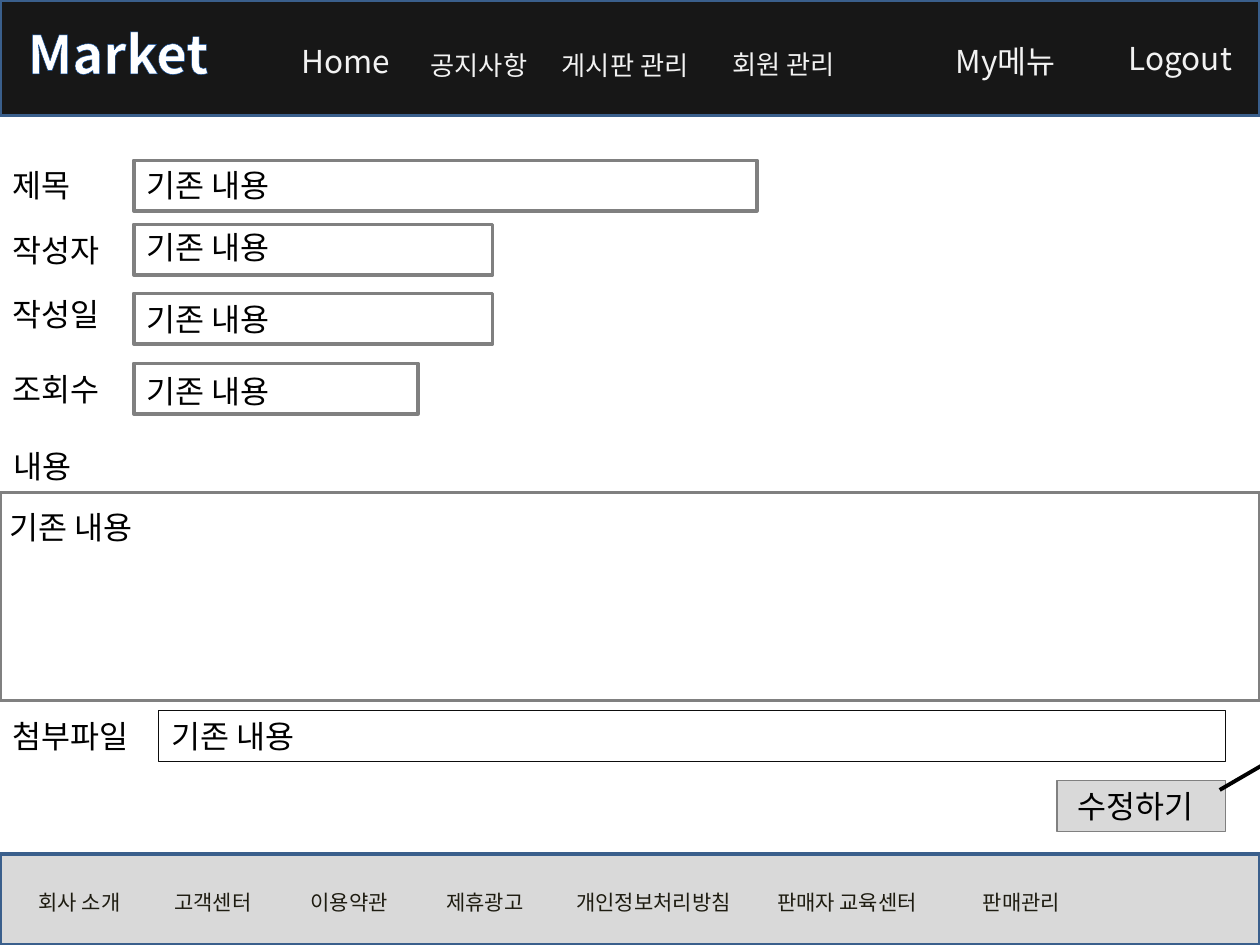
"""Build the edit-post screen of a market admin site as one slide."""
import dataclasses

import pptx
import pptx.dml.color
import pptx.enum.shapes
import pptx.enum.text
import pptx.oxml
import pptx.oxml.ns
import pptx.util

Pt = pptx.util.Pt


@dataclasses.dataclass(frozen=True)
class Theme:
    font: str = "Noto Sans CJK KR"
    white: str = "FFFFFF"
    black: str = "000000"
    header: str = "171717"
    panel: str = "D9D9D9"
    frame: str = "3A5F8C"
    field: str = "808080"
    attachment: str = "0D0D0D"
    menu: str = "F2F2F2"
    footer: str = "1E1C11"
    logo_outline: str = "054697"
    logo_size: float = 30
    body_size: float = 18
    menu_size: float = 15
    footer_size: float = 12


THEME = Theme()
EXISTING = "기존 내용"
LINE_HEIGHT = 29


def rgb(value):
    return pptx.dml.color.RGBColor.from_string(value)


def add_xml(parent, markup, index=None):
    namespace = pptx.oxml.ns.nsdecls("a")
    wrapper = pptx.oxml.parse_xml(f"<a:wrapper {namespace}>{markup}</a:wrapper>")
    parent.insert(len(parent) if index is None else index, wrapper[0])


def write(box, text, size=THEME.body_size, color=THEME.black, bold=False, indent=7.2):
    frame = box.text_frame
    frame.word_wrap = True
    frame.auto_size = pptx.enum.text.MSO_AUTO_SIZE.NONE
    frame.vertical_anchor = pptx.enum.text.MSO_ANCHOR.TOP
    frame.margin_left = Pt(indent)
    para = frame.paragraphs[0]
    para.alignment = pptx.enum.text.PP_ALIGN.LEFT
    span = para.add_run()
    span.text = text
    span.font.name = THEME.font
    span.font.size = Pt(size)
    span.font.bold = bold
    span.font.color.rgb = rgb(color)
    add_xml(span.font._element, f'<a:ea typeface="{THEME.font}"/>')
    return span


def add_text(page, text, left, top, width, height=LINE_HEIGHT, **style):
    box = page.shapes.add_textbox(Pt(left), Pt(top), Pt(width), Pt(height))
    write(box, text, **style)


def add_box(page, left, top, width, height, fill, line, weight):
    box = page.shapes.add_shape(pptx.enum.shapes.MSO_SHAPE.RECTANGLE,
                                Pt(left), Pt(top), Pt(width), Pt(height))
    box.shadow.inherit = False
    if fill:
        box.fill.solid()
        box.fill.fore_color.rgb = rgb(fill)
    else:
        box.fill.background()
    box.line.color.rgb = rgb(line)
    box.line.width = Pt(weight)
    return box


def add_arrow(page, start, end):
    arrow = page.shapes.add_connector(pptx.enum.shapes.MSO_CONNECTOR.STRAIGHT,
                                      *(Pt(value) for value in start + end))
    arrow.line.color.rgb = rgb(THEME.black)
    arrow.line.width = Pt(2.25)
    add_xml(arrow.line._get_or_add_ln(), '<a:tailEnd type="arrow"/>')
    add_xml(arrow.element.spPr, "<a:effectLst/>")


def add_logo(page):
    logo = page.shapes.title
    logo.left, logo.top, logo.width, logo.height = Pt(8.6), Pt(8.6), Pt(164), Pt(44)
    span = write(logo, "Market", THEME.logo_size, THEME.white, bold=True)
    add_xml(span.font._element,
            f'<a:ln w="12700"><a:solidFill><a:srgbClr val="{THEME.logo_outline}"/>'
            "</a:solidFill></a:ln>", 0)
    logo.element.getparent().append(logo.element)


def add_header(page):
    add_box(page, 0, 0, 720, 66, THEME.header, THEME.frame, 2)
    add_logo(page)
    menu = (("Home", 165, 20.5, 80, THEME.body_size),
            ("공지사항", 239, 24.5, 85, THEME.menu_size),
            ("게시판 관리", 314, 24.5, 98, THEME.menu_size),
            ("회원 관리", 411.5, 24, 98, THEME.menu_size),
            ("My메뉴", 539, 20.5, 96, THEME.body_size),
            ("Logout", 638, 18.5, 80, THEME.body_size))
    for text, left, top, width, size in menu:
        add_text(page, text, left, top, width, size=size, color=THEME.menu)


def add_form(page):
    rows = (("제목", 91.6, 91.6, 91.6, 356),
            ("작성자", 128.2, 128.2, 126.7, 205),
            ("작성일", 165, 167.6, 167.6, 205),
            ("조회수", 207.6, 207.6, 208.8, 162.3))
    for label, label_top, field_top, value_top, width in rows:
        add_text(page, label, 0, label_top, 91)
        add_box(page, 76.5, field_top, width, LINE_HEIGHT, THEME.white, THEME.field, 2)
        add_text(page, EXISTING, 76.5, value_top, 108)
    add_text(page, "내용", 0.7, 252, 91)
    add_box(page, 0, 281.5, 720, 118.8, THEME.white, THEME.field, 2)
    add_text(page, EXISTING, -1.4, 287, 108)
    add_text(page, "첨부파일", 0, 406, 111)
    attachment = add_box(page, 90.7, 406, 609.8, LINE_HEIGHT, None, THEME.attachment, 0.75)
    write(attachment, EXISTING)
    button = add_box(page, 604, 446, 96.5, LINE_HEIGHT, THEME.panel, THEME.field, 0.75)
    write(button, "수정하기", indent=11.5)
    add_arrow(page, (697, 451.4), (736.6, 428.4))


def add_footer(page):
    add_box(page, 0, 488, 720, 52, THEME.panel, THEME.frame, 2)
    links = ("회사 소개", "고객센터", "이용약관", "제휴광고",
             "개인정보처리방침", "판매자 교육센터", "판매관리")
    stops = (77.5, 155.3, 233, 307.3, 422, 539.5)
    box = page.shapes.add_textbox(Pt(15), Pt(504.7), Pt(686), Pt(17))
    tabs = "".join(f'<a:tab pos="{int(Pt(stop))}" algn="l"/>' for stop in stops)
    properties = box.text_frame.paragraphs[0]._p.get_or_add_pPr()
    add_xml(properties, f"<a:tabLst>{tabs}</a:tabLst>")
    write(box, "\t".join(links), THEME.footer_size, THEME.footer)


def main():
    deck = pptx.Presentation()
    deck.slide_width, deck.slide_height = Pt(720), Pt(540)
    page = deck.slides.add_slide(deck.slide_layouts[5])
    add_footer(page)
    add_header(page)
    add_form(page)
    deck.save("out.pptx")


if __name__ == "__main__":
    main()
